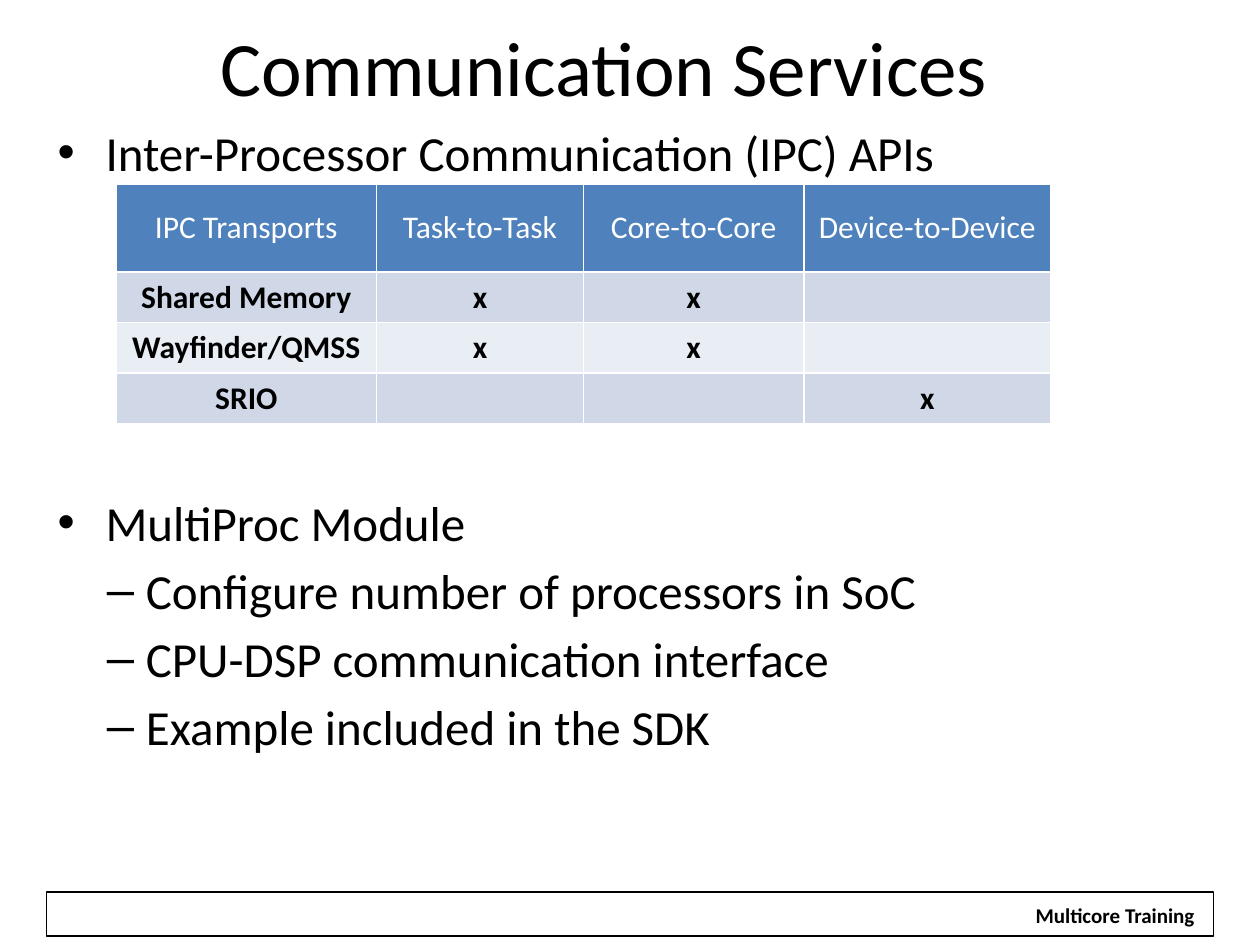
from lxml import etree
from pptx import Presentation
from pptx.dml.color import RGBColor
from pptx.enum.shapes import MSO_SHAPE
from pptx.enum.text import MSO_ANCHOR, PP_ALIGN
from pptx.oxml.ns import qn
from pptx.util import Inches, Pt

RECTANGLE = MSO_SHAPE.RECTANGLE
MIDDLE = MSO_ANCHOR.MIDDLE
CENTER = PP_ALIGN.CENTER
FONT = "Calibri"
BLACK, WHITE = "000000", "FFFFFF"
HEADER_BLUE = "4F81BD"
BANDS = ["D0D8E8", "E9EDF4"]


def color(hex_string):
    return RGBColor.from_string(hex_string)


def style(paragraph, size, hex_string=BLACK, bold=False):
    paragraph.font.name = FONT
    paragraph.font.size = Pt(size)
    paragraph.font.bold = bold
    paragraph.font.color.rgb = color(hex_string)


presentation = Presentation()
presentation.slide_width = Inches(10)
presentation.slide_height = Inches(7.5)
slide = presentation.slides.add_slide(presentation.slide_layouts[6])
shapes = slide.shapes

# Footer frame and its label
frame = shapes.add_shape(RECTANGLE, Inches(0.37), Inches(7.08), Inches(9.26), Inches(0.35))
frame.shadow.inherit = False
frame.fill.background()
frame.line.color.rgb = color(BLACK)
frame.line.width = Pt(0.75)

label = shapes.add_shape(RECTANGLE, Inches(8.11), Inches(7.11), Inches(1.48), Inches(0.3))
label.shadow.inherit = False
label.fill.solid()
label.fill.fore_color.rgb = color(WHITE)
label.line.fill.background()
label.text_frame.word_wrap = False
label.text_frame.vertical_anchor = MIDDLE
label.text_frame.text = "Multicore Training"
label.text_frame.paragraphs[0].alignment = CENTER
style(label.text_frame.paragraphs[0], 12, bold=True)

# Title
title = shapes.add_textbox(Inches(0.17), Inches(0.08), Inches(9.25), Inches(0.89))
title.text_frame.word_wrap = True
title.text_frame.vertical_anchor = MIDDLE
title.text_frame.text = "Communication Services"
title.text_frame.paragraphs[0].alignment = CENTER
style(title.text_frame.paragraphs[0], 44)

# Bulleted body: level, space before in points, text
# The second bullet leaves room for the table
bullets = [
    (0, 0, "Inter-Processor Communication (IPC) APIs"),
    (0, 178, "MultiProc Module"),
    (1, 5.2, "Configure number of processors in SoC"),
    (1, 5.2, "CPU-DSP communication interface"),
    (1, 5.2, "Example included in the SDK"),
]
# Bullet character, left margin and hanging indent of each level
levels = [("•", 0.38, -0.38), ("–", 0.7, -0.31)]

body = shapes.add_textbox(Inches(0.36), Inches(0.92), Inches(9.26), Inches(6))
body.text_frame.word_wrap = True
body.text_frame.text = "\n".join(text for _, _, text in bullets)
for paragraph, (level, space, _) in zip(body.text_frame.paragraphs, bullets):
    character, margin, indent = levels[level]
    paragraph.level = level
    paragraph.space_before = Pt(space)
    properties = paragraph._p.get_or_add_pPr()
    properties.set("marL", str(Inches(margin)))
    properties.set("indent", str(Inches(indent)))
    bullet_font = etree.SubElement(properties, qn("a:buFont"))
    bullet_font.set("typeface", "Arial")
    bullet = etree.SubElement(properties, qn("a:buChar"))
    bullet.set("char", character)
    style(paragraph, 28)

# Transport table; the default table style supplies the white rules
rows = [
    ["IPC Transports", "Task-to-Task", "Core-to-Core", "Device-to-Device"],
    ["Shared Memory", "x", "x", ""],
    ["Wayfinder/QMSS", "x", "x", ""],
    ["SRIO", "", "", "x"],
]
column_widths = [2.07, 1.64, 1.75, 1.96]
row_heights = [0.7, 0.4, 0.4, 0.4]

table = shapes.add_table(
    len(rows), len(column_widths), Inches(0.92), Inches(1.46),
    Inches(sum(column_widths)), Inches(sum(row_heights)),
).table
for column, width in zip(table.columns, column_widths):
    column.width = Inches(width)
for row_index, texts in enumerate(rows):
    table.rows[row_index].height = Inches(row_heights[row_index])
    is_header = row_index == 0
    for column_index, text in enumerate(texts):
        cell = table.cell(row_index, column_index)
        cell.fill.solid()
        cell.fill.fore_color.rgb = color(HEADER_BLUE if is_header else BANDS[(row_index - 1) % 2])
        cell.vertical_anchor = MIDDLE
        cell.text_frame.text = text
        paragraph = cell.text_frame.paragraphs[0]
        paragraph.alignment = CENTER
        style(paragraph, 18, WHITE if is_header else BLACK, bold=not is_header)

presentation.save("out.pptx")
